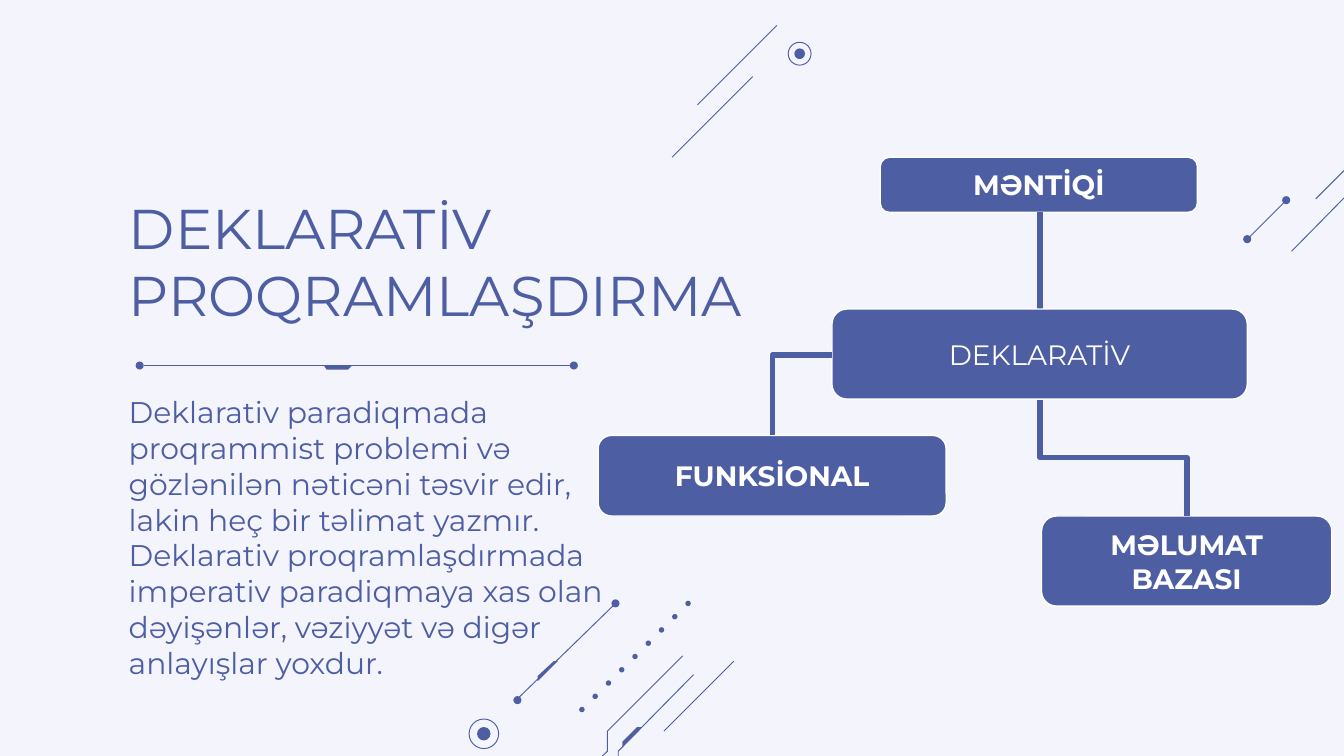
from lxml import etree
from pptx import Presentation
from pptx.dml.color import RGBColor
from pptx.enum import shapes, text
from pptx.oxml.ns import qn
from pptx.util import Inches, Pt

INK, WHITE, PAPER = "4E5EA3", "FFFFFF", "F4F4FC"
FONT = "Montserrat"
HAIRLINE = 0.5

# Hairlines: start x, start y, end x, end y
SLANTS = [
    (9.79, 1.48, 10.38, 0.89), (9.61, 1.87, 10.2, 1.27), (9.28, 1.78, 9.58, 1.48),
    (3.85, 5.2, 4.58, 4.49), (4.94, 5.44, 5.46, 4.92),
    (5.19, 0.78, 5.78, 0.19), (5, 1.17, 5.6, 0.57),
]
BENT_SLANTS = [
    [(4.34, 6.09), (4.6, 5.84), (4.6, 5.59), (5.16, 5.02)],
    [(4.37, 5.73), (4.52, 5.59), (4.52, 5.44), (5.08, 4.88)],
]
BARS = [
    [(4.63, 5.56), (4.78, 5.41), (4.74, 5.41), (4.63, 5.52)],
    [(4, 5.07), (4.15, 4.92), (4.12, 4.92), (4, 5.03)],
    [(2.41, 2.72), (2.62, 2.72), (2.59, 2.75), (2.43, 2.75)],
]
END_DOTS = [(9.57, 1.49), (9.28, 1.78), (3.85, 5.21), (4.58, 4.49),
            (1.04, 2.72), (4.27, 2.72)]
# Targets: centre x, centre y, ring diameter, core diameter
TARGETS = [(3.6, 5.46, 0.22, 0.1), (5.95, 0.4, 0.17, 0.08)]


def color(hex_value):
    return RGBColor.from_string(hex_value)


def paint(shape, fill=None, line=None, width=HAIRLINE):
    shape.shadow.inherit = False
    if fill:
        shape.fill.solid()
        shape.fill.fore_color.rgb = color(fill)
    else:
        shape.fill.background()
    if line:
        shape.line.color.rgb = color(line)
        shape.line.width = Pt(width)
    else:
        shape.line.fill.background()


def add_line(page, x1, y1, x2, y2, width=HAIRLINE,
             kind=shapes.MSO_CONNECTOR.STRAIGHT):
    line = page.shapes.add_connector(kind, *map(Inches, (x1, y1, x2, y2)))
    line.line.color.rgb = color(INK)
    line.line.width = Pt(width)
    etree.SubElement(line._element.spPr, qn("a:effectLst"))
    return line


def add_corner(page, x1, y1, x2, y2):
    """Connector that runs sideways, then down, with one bend."""
    line = add_line(page, x1, y1, x2, y2, 3, shapes.MSO_CONNECTOR.ELBOW)
    line._element.spPr.find(qn("a:prstGeom")).set("prst", "bentConnector2")


def add_step(page, x1, y1, x2, y2):
    """Connector that runs down, sideways and down: a quarter-turned elbow."""
    middle_x, middle_y = (x1 + x2) / 2, (y1 + y2) / 2
    half_x, half_y = (x2 - x1) / 2, (y2 - y1) / 2
    line = add_line(page, middle_x + half_y, middle_y - half_x,
                    middle_x - half_y, middle_y + half_x,
                    3, shapes.MSO_CONNECTOR.ELBOW)
    line._element.spPr.find(qn("a:xfrm")).set("rot", str(270 * 60000))


def add_path(page, points, closed):
    start, *rest = [(Inches(x), Inches(y)) for x, y in points]
    builder = page.shapes.build_freeform(*start)
    builder.add_line_segments(rest, close=closed)
    shape = builder.convert_to_shape()
    if closed:
        paint(shape, fill=INK)
    else:
        paint(shape, line=INK)


def add_circle(page, x, y, size, fill=INK, line=None):
    circle = page.shapes.add_shape(
        shapes.MSO_SHAPE.OVAL,
        *map(Inches, (x - size / 2, y - size / 2, size, size)))
    paint(circle, fill, line)


def write(shape, wording, size, hex_value, frame_format, alignment, bold=False):
    frame = shape.text_frame
    for name, value in {"word_wrap": True, **frame_format}.items():
        setattr(frame, name, value)
    para = frame.paragraphs[0]
    para.alignment = alignment
    span = para.add_run()
    span.text = wording
    for name, value in {"name": FONT, "size": Pt(size), "bold": bold}.items():
        setattr(span.font, name, value)
    span.font.color.rgb = color(hex_value)


def add_text(page, box, wording, size):
    shape = page.shapes.add_textbox(*map(Inches, box))
    write(shape, wording, size, INK, {"margin_top": 0, "margin_bottom": 0},
          text.PP_ALIGN.LEFT)


def add_node(page, box, wording, bold=True):
    node = page.shapes.add_shape(shapes.MSO_SHAPE.ROUNDED_RECTANGLE,
                                 *map(Inches, box))
    paint(node, INK, WHITE, 0.75)
    margins = {f"margin_{side}": Inches(0.1)
               for side in ("left", "top", "right", "bottom")}
    write(node, wording, 15, WHITE,
          {"vertical_anchor": text.MSO_ANCHOR.MIDDLE, **margins},
          text.PP_ALIGN.CENTER, bold)


def add_decoration(page):
    for slant in SLANTS:
        add_line(page, *slant)
    for points in BENT_SLANTS:
        add_path(page, points, closed=False)
    add_line(page, 4.24, 2.72, 1.07, 2.72, 0.75)
    for points in BARS:
        add_path(page, points, closed=True)
    for x, y in END_DOTS:
        add_circle(page, x, y, 0.06)
    for step in range(9):
        add_circle(page, 4.33 + step * 0.79 / 8, 5.28 - step * 0.79 / 8, 0.04)
    for x, y, ring, core in TARGETS:
        add_circle(page, x, y, ring, fill=None, line=INK)
        add_circle(page, x, y, core)


def add_diagram(page):
    add_node(page, (6.55, 1.17, 2.36, 0.41), "MƏNTİQİ")
    add_node(page, (4.45, 3.24, 2.59, 0.6), "FUNKSİONAL")
    add_node(page, (7.75, 3.84, 2.16, 0.67), "MƏLUMAT BAZASI")
    add_step(page, 7.74, 2.97, 8.83, 3.84)
    add_step(page, 7.74, 1.58, 7.74, 2.3)
    add_node(page, (6.19, 2.3, 3.09, 0.67), "DEKLARATİV", bold=False)
    add_corner(page, 6.19, 2.64, 5.75, 3.24)


def main():
    deck = Presentation()
    deck.slide_width = Inches(10)
    deck.slide_height = deck.slide_width * 9 // 16
    page = deck.slides.add_slide(deck.slide_layouts[6])
    page.background.fill.solid()
    page.background.fill.fore_color.rgb = color(PAPER)

    add_decoration(page)
    add_text(page, (0.86, 1.44, 4.89, 1.18), "DEKLARATİV PROQRAMLAŞDIRMA", 30)
    add_text(page, (0.86, 2.93, 3.76, 1.43),
             "Deklarativ paradiqmada proqrammist problemi və gözlənilən "
             "nəticəni təsvir edir, lakin heç bir təlimat yazmır. Deklarativ "
             "proqramlaşdırmada imperativ paradiqmaya xas olan dəyişənlər, "
             "vəziyyət və digər anlayışlar yoxdur.", 16)
    add_diagram(page)
    deck.save("out.pptx")


if __name__ == "__main__":
    main()
